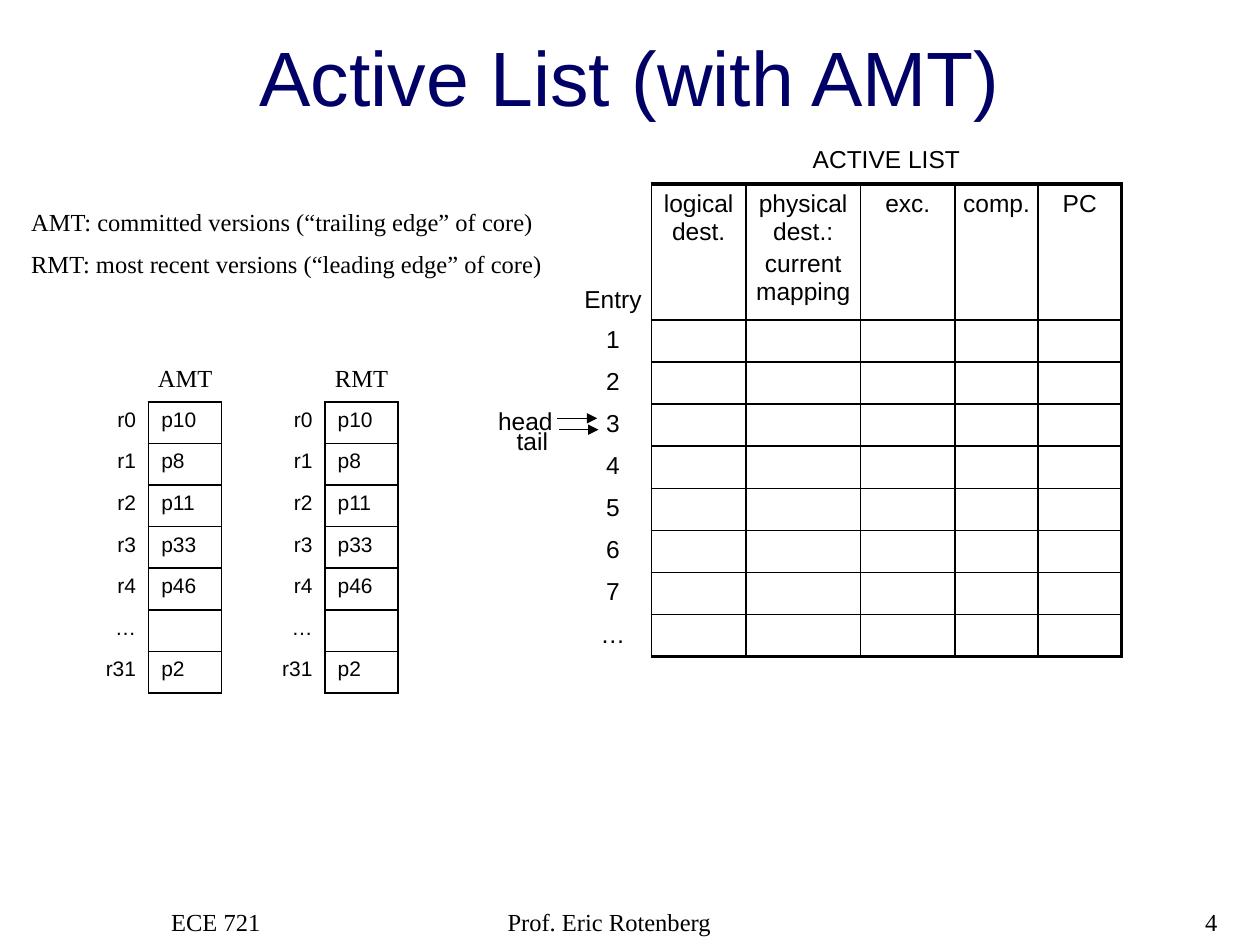
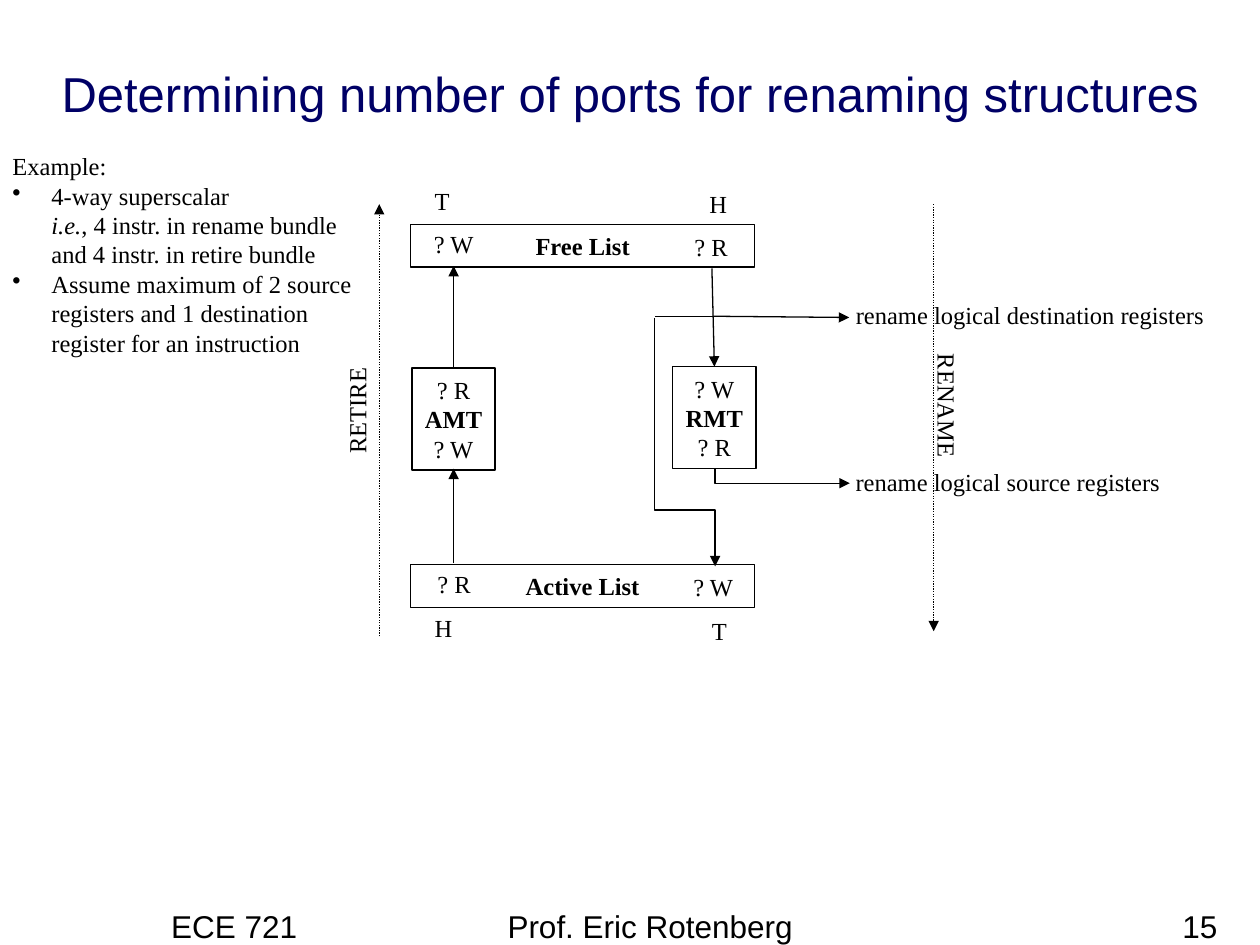
from lxml.etree import SubElement
from pptx import Presentation
from pptx.dml.color import RGBColor
from pptx.enum.dml import MSO_LINE
from pptx.enum.shapes import MSO_CONNECTOR as Connector, MSO_SHAPE as Shape
from pptx.enum.text import MSO_ANCHOR as Anchor, PP_ALIGN as Align
from pptx.oxml.ns import qn
from pptx.util import Inches, Pt

BLACK, NAVY = "000000", "000066"
SANS, SERIF = "Arial", "Times New Roman"
LINE_WIDTH, GRID_WIDTH, FRAME_WIDTH = 0.75, 1, 2.25

SERIF_14 = {"name": SERIF, "size": Pt(14)}
SANS_12 = {"name": SANS, "size": Pt(12)}
SANS_14 = {"name": SANS, "size": Pt(14)}
SANS_18 = {"name": SANS, "size": Pt(18)}
BOLD, ITALIC = {"bold": True}, {"italic": True}

FOOTERS = [
    ("ECE 721", 1.26, 2.08, Align.LEFT),
    ("Prof. Eric Rotenberg", 3.93, 3.17, Align.LEFT),
    (None, 7.68, 2.08, Align.RIGHT),
]

ACTIVE_LIST_HEADER = [["Entry"], ["logical dest."], ["physical dest.:", "current mapping"],
                      ["exc."], ["comp."], ["PC"]]
ACTIVE_LIST_ENTRIES = ["1", "2", "3", "4", "5", "6", "7", "…"]
ACTIVE_LIST_COLUMNS = [0.61, 0.75, 0.91, 0.75, 0.66, 0.66]
HEADER_HEIGHT, ROW_HEIGHT = 1.08, 0.33

MAPPINGS = [("r0", "p10"), ("r1", "p8"), ("r2", "p11"), ("r3", "p33"),
            ("r4", "p46"), ("…", ""), ("r31", "p2")]
MAP_TABLES = [("AMT", 0.6), ("RMT", 2.0)]

DEFINITIONS = [
    ("AMT: committed versions (“trailing edge” of core)", 0.13, 1.59, 4.22),
    ("RMT: most recent versions (“leading edge” of core)", 0.13, 1.93, 4.29),
]
LIST_LABELS = [
    ("ACTIVE LIST", 6.34, 1.09, 1.39),
    ("head", 3.84, 3.17, 0.66),
    ("tail", 4.0, 3.33, 0.45),
]
POINTER_ARROWS = [((4.44, 3.41), (4.75, 3.41)), ((4.42, 3.32), (4.74, 3.32))]

STRUCTURES = [
    ([[("Free List", BOLD)]], (3.26, 1.78, 2.73, 0.34)),
    ([[("Active List", BOLD)]], (3.26, 4.48, 2.73, 0.34)),
    (["? W", [("RMT", BOLD)], "? R"], (5.34, 2.91, 0.66, 0.81)),
    (["? R", [("AMT", BOLD)], "? W"], (3.27, 2.92, 0.66, 0.81)),
]
PORT_LABELS = [
    ("? R", 5.41, 1.79, 0.47), ("? W", 3.34, 1.77, 0.52),
    ("? R", 3.37, 4.47, 0.47), ("? W", 5.4, 4.49, 0.52),
    ("T", 5.55, 4.84, 0.32), ("H", 3.35, 4.82, 0.34),
    ("H", 5.53, 1.45, 0.34), ("T", 3.35, 1.43, 0.32),
    ("rename logical destination registers", 6.68, 2.33, 2.99),
    ("rename logical source registers", 6.68, 3.66, 2.64),
]
PHASE_LABELS = [("RENAME", 6.96, 3.05, 1.11, 90), ("RETIRE", 2.39, 3.09, 0.89, 270)]
PHASE_ARROWS = [((7.41, 1.62), (7.41, 5.01)), ((3.01, 5.05), (3.01, 1.62))]
FLOW_ARROWS = [
    ((5.65, 2.13), (5.67, 2.91)),
    ((5.66, 2.51), (6.74, 2.52)),
    ((3.6, 4.47), (3.6, 3.72)),
    ((3.6, 2.92), (3.6, 2.11)),
]
DESTINATION_BRANCH = ((5.2, 2.51), (5.68, 2.51))
ELBOW_ARROWS = [
    ("bentConnector3", (4.45, 3.27, 1.97, 0.48), 77300),
    ("bentConnector2", (6.15, 3.24, 0.12, 1.07), None),
]
EXAMPLE = [
    "Example:",
    [("4-way superscalar\n", {}), ("i.e.", ITALIC),
     (", 4 instr. in rename bundle\nand 4 instr. in retire bundle", {})],
    "Assume maximum of 2 source\nregisters and 1 destination\nregister for an instruction",
]


def color(hex_string):
    return RGBColor.from_string(hex_string)


def set_attributes(target, values):
    for name, value in values.items():
        setattr(target, name, value)


def write(frame, paragraphs, font, align, ink=BLACK, space_before=0):
    for index, content in enumerate(paragraphs):
        paragraph = frame.add_paragraph() if index else frame.paragraphs[0]
        paragraph.alignment = align
        if index and space_before:
            paragraph.space_before = Pt(space_before)
        runs = [(content, {})] if isinstance(content, str) else content
        for text, extra in runs:
            for line_index, line in enumerate(text.split("\n")):
                if line_index:
                    paragraph.add_line_break()
                if line:
                    run = paragraph.add_run()
                    run.text = line
                    set_attributes(run.font, {**font, **extra})
                    run.font.color.rgb = color(ink)


def add_text(slide, paragraphs, place, font, align=Align.CENTER, ink=BLACK,
             wrap=False, anchor=Anchor.TOP, rotation=0):
    box = slide.shapes.add_textbox(*map(Inches, place))
    box.rotation = rotation
    set_attributes(box.text_frame, {"word_wrap": wrap, "vertical_anchor": anchor})
    write(box.text_frame, paragraphs, font, align, ink)
    return box


def add_labels(slide, labels, font):
    for text, left, top, width in labels:
        add_text(slide, [text], (left, top, width, 0.34), font)


def add_line(slide, start, end, arrow=True, dotted=False, kind=Connector.STRAIGHT):
    connector = slide.shapes.add_connector(kind, *map(Inches, (*start, *end)))
    connector.line.width = Pt(LINE_WIDTH)
    connector.line.color.rgb = color(BLACK)
    if dotted:
        connector.line.dash_style = MSO_LINE.ROUND_DOT
    properties = connector._element.spPr
    if arrow:
        SubElement(properties.find(qn("a:ln")), qn("a:tailEnd"), type="triangle")
    SubElement(properties, qn("a:effectLst"))
    return connector


def add_elbow(slide, preset, place, bend):
    left, top, width, height = place
    connector = add_line(slide, (left, top), (left + width, top + height), kind=Connector.ELBOW)
    properties = connector._element.spPr
    transform = properties.find(qn("a:xfrm"))
    transform.set("rot", str(270 * 60000))
    transform.set("flipH", "1")
    geometry = properties.find(qn("a:prstGeom"))
    geometry.set("prst", preset)
    if bend:
        SubElement(geometry.find(qn("a:avLst")), qn("a:gd"), name="adj1", fmla=f"val {bend}")


def add_structure(slide, paragraphs, place):
    box = slide.shapes.add_shape(Shape.RECTANGLE, *map(Inches, place))
    box.shadow.inherit = False
    box.fill.background()
    box.line.width = Pt(LINE_WIDTH)
    box.line.color.rgb = color(BLACK)
    set_attributes(box.text_frame, {"word_wrap": False, "vertical_anchor": Anchor.MIDDLE})
    write(box.text_frame, paragraphs, SERIF_14, Align.CENTER)


def set_borders(cell, widths):
    properties = cell._tc.get_or_add_tcPr()
    for side in "LRTB":
        width = widths.get(side)
        line = SubElement(properties, qn(f"a:ln{side}"), w=str(Pt(width or 0)))
        if width:
            fill = SubElement(line, qn("a:solidFill"))
            SubElement(fill, qn("a:srgbClr"), val=BLACK)
        else:
            SubElement(line, qn("a:noFill"))


def add_grid(slide, left, top, columns, heights, rows, font, aligns, borders, margins):
    place = (left, top, sum(columns), sum(heights))
    table = slide.shapes.add_table(len(rows), len(columns), *map(Inches, place)).table
    set_attributes(table, {"first_row": False, "horz_banding": False})
    for column, width in zip(table.columns, columns):
        column.width = Inches(width)
    for row, height in zip(table.rows, heights):
        row.height = Inches(height)
    for row_index, row in enumerate(rows):
        for column_index, paragraphs in enumerate(row):
            cell = table.cell(row_index, column_index)
            set_borders(cell, borders(row_index, column_index))
            cell.fill.background()
            set_attributes(cell, margins)
            if any(paragraphs):
                write(cell.text_frame, paragraphs, font, aligns[column_index], space_before=2.8)
            else:
                SubElement(cell.text_frame.paragraphs[0]._p, qn("a:endParaRPr"),
                           sz=str(int(font["size"].pt * 100)))
    return table


def active_list_borders(row, column):
    if column == 0:
        return {"R": GRID_WIDTH}
    last_row, last_column = len(ACTIVE_LIST_ENTRIES), len(ACTIVE_LIST_COLUMNS) - 1
    return {
        "L": GRID_WIDTH,
        "R": FRAME_WIDTH if column == last_column else GRID_WIDTH,
        "T": FRAME_WIDTH if row == 0 else GRID_WIDTH,
        "B": FRAME_WIDTH if row == last_row else GRID_WIDTH,
    }


def mapping_borders(row, column):
    return dict.fromkeys("LRTB" if column else "R", GRID_WIDTH)


def start_slide(presentation, title, title_size, title_top, title_height, number, footer_font):
    slide = presentation.slides.add_slide(presentation.slide_layouts[6])
    add_text(slide, [title], (0, title_top, 10, title_height),
             {"name": SANS, "size": Pt(title_size)}, ink=NAVY, wrap=True, anchor=Anchor.BOTTOM)
    for text, left, width, align in FOOTERS:
        add_text(slide, [text or number], (left, 7.15, width, 0.5), footer_font, align, wrap=True)
    return slide


def build_active_list(presentation):
    slide = start_slide(presentation, "Active List (with AMT)", 44, 0.18, 0.84, "4", SERIF_14)
    blanks = [[""]] * (len(ACTIVE_LIST_COLUMNS) - 1)
    rows = [ACTIVE_LIST_HEADER] + [[[entry], *blanks] for entry in ACTIVE_LIST_ENTRIES]
    heights = [HEADER_HEIGHT] + [ROW_HEIGHT] * len(ACTIVE_LIST_ENTRIES)
    narrow = dict.fromkeys(["margin_left", "margin_right", "margin_top", "margin_bottom"],
                           Inches(0.05))
    table = add_grid(slide, 4.56, 1.46, ACTIVE_LIST_COLUMNS, heights, rows, SANS_14,
                     [Align.CENTER] * len(ACTIVE_LIST_COLUMNS), active_list_borders, narrow)
    table.cell(0, 0).vertical_anchor = Anchor.BOTTOM
    add_labels(slide, LIST_LABELS, SANS_14)
    for start, end in POINTER_ARROWS:
        add_line(slide, start, end)
    mapping_rows = [[[register], [value]] for register, value in MAPPINGS]
    for name, left in MAP_TABLES:
        add_text(slide, [name], (left + 0.55, 2.83, 0.64, 0.34), SERIF_14)
        add_grid(slide, left, 3.19, [0.58, 0.58], [ROW_HEIGHT] * len(MAPPINGS), mapping_rows,
                 SANS_12, [Align.RIGHT, Align.LEFT], mapping_borders, {})
    add_labels(slide, DEFINITIONS, SERIF_14)


def build_ports(presentation):
    slide = start_slide(presentation, "Determining number of ports for renaming structures",
                        28, 0.45, 0.57, "15", SANS_18)
    for paragraphs, place in STRUCTURES:
        add_structure(slide, paragraphs, place)
    for start, end in FLOW_ARROWS:
        add_line(slide, start, end)
    add_line(slide, *DESTINATION_BRANCH, arrow=False)
    for elbow in ELBOW_ARROWS:
        add_elbow(slide, *elbow)
    add_labels(slide, PORT_LABELS, SERIF_14)
    example = add_text(slide, EXAMPLE, (0, 1.15, 2.92, 1.99), SERIF_14, Align.LEFT)
    for paragraph in example.text_frame.paragraphs[1:]:
        properties = paragraph._p.get_or_add_pPr()
        properties.set("marL", str(Inches(0.31)))
        properties.set("indent", str(Inches(-0.31)))
        SubElement(properties, qn("a:buChar"), char="•")
    for text, left, top, width, rotation in PHASE_LABELS:
        add_text(slide, [text], (left, top, width, 0.34), SERIF_14, rotation=rotation)
    for start, end in PHASE_ARROWS:
        add_line(slide, start, end, dotted=True)


def main():
    presentation = Presentation()
    set_attributes(presentation, {"slide_width": Inches(10), "slide_height": Inches(7.5)})
    build_active_list(presentation)
    build_ports(presentation)
    presentation.save("out.pptx")


if __name__ == "__main__":
    main()
